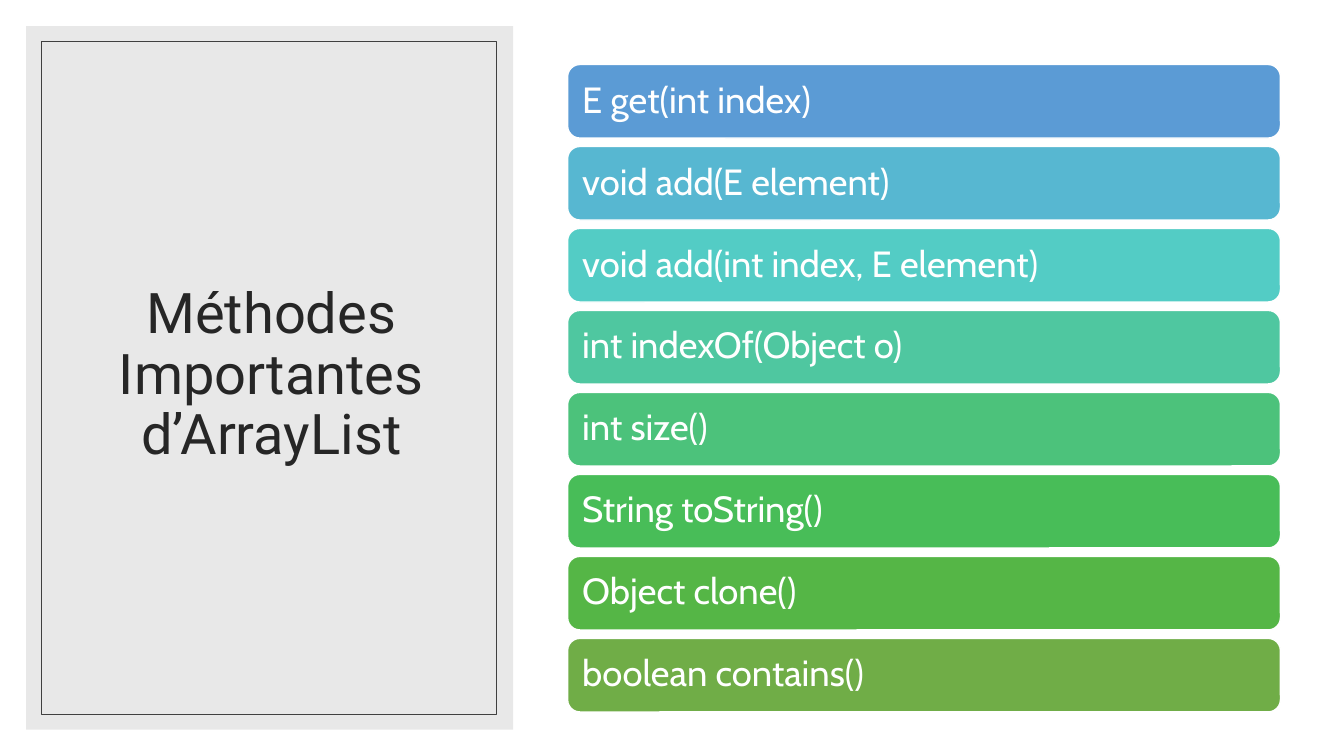
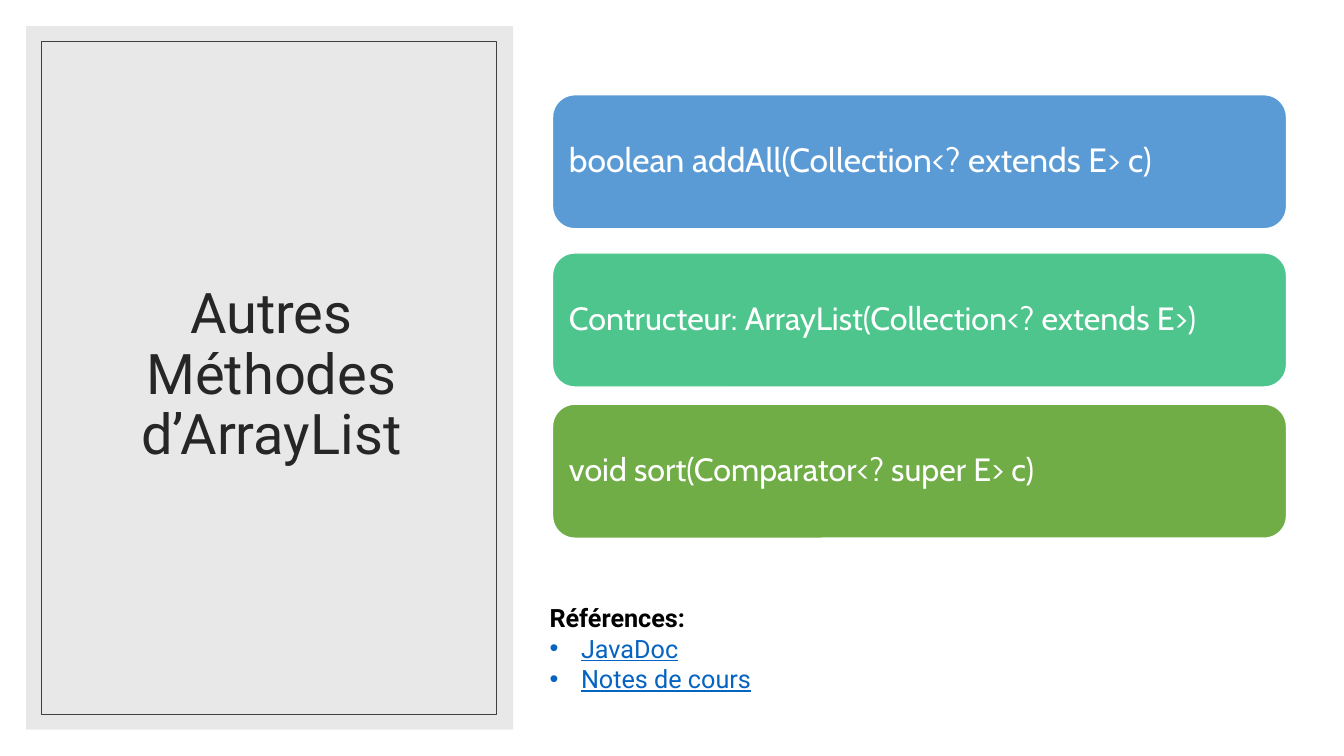
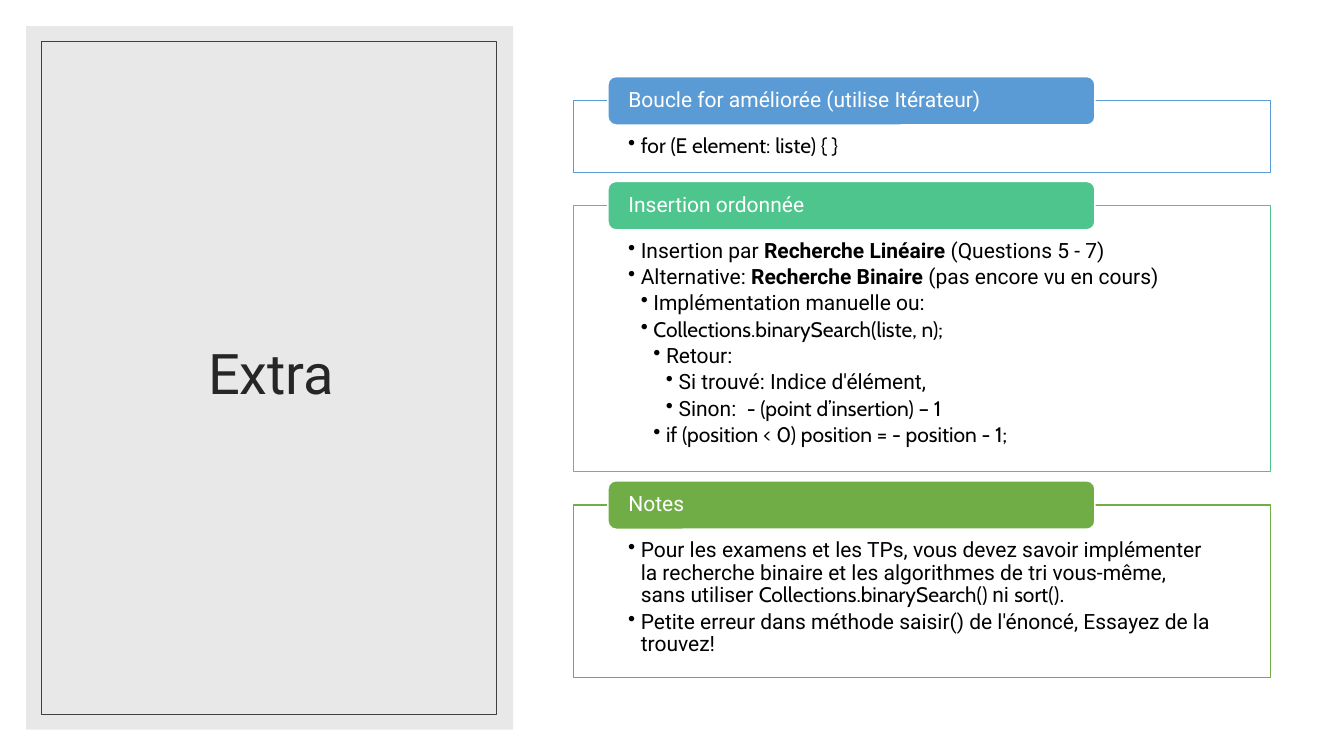
from pptx import Presentation
from pptx.dml.color import RGBColor
from pptx.enum.shapes import MSO_SHAPE
from pptx.enum.text import MSO_ANCHOR, MSO_AUTO_SIZE, PP_ALIGN
from pptx.util import Inches, Pt
from lxml.etree import SubElement
from pptx.oxml.ns import qn

WHITE = RGBColor(0xFF, 0xFF, 0xFF)
BLACK = RGBColor(0x00, 0x00, 0x00)
PANEL = RGBColor(0xE8, 0xE8, 0xE8)
FRAME = RGBColor(0x40, 0x40, 0x40)
TITLE = RGBColor(0x26, 0x26, 0x26)
LINK = RGBColor(0x05, 0x63, 0xC1)
BLUE = RGBColor(0x5B, 0x9B, 0xD5)
MINT = RGBColor(0x4D, 0xC5, 0x8D)
GREEN = RGBColor(0x70, 0xAD, 0x47)
RAMP = [BLUE, RGBColor(0x57, 0xB7, 0xD1), RGBColor(0x53, 0xCC, 0xC5),
        RGBColor(0x4F, 0xC7, 0xA0), RGBColor(0x4C, 0xC2, 0x7B),
        RGBColor(0x48, 0xBD, 0x58), RGBColor(0x55, 0xB6, 0x46), GREEN]
TEXT, CODE = "Roboto", "Cabin"

prs = Presentation()
prs.slide_width, prs.slide_height = Inches(13.33), Inches(7.5)
CELL = prs.slide_height / 90


def block(s, kind, at, fill=None, line=None, width=1, margins=(0, 0, 0, 0)):
    sp = s.shapes.add_shape(kind, *[round(v * CELL) for v in at])
    sp.shadow.inherit = False
    if fill is None:
        sp.fill.background()
    else:
        sp.fill.solid()
        sp.fill.fore_color.rgb = fill
    if line is None:
        sp.line.fill.background()
    else:
        sp.line.color.rgb = line
        sp.line.width = Pt(width)
    tf = sp.text_frame
    tf.word_wrap = True
    tf.vertical_anchor = MSO_ANCHOR.MIDDLE
    tf.margin_left, tf.margin_top, tf.margin_right, tf.margin_bottom = [
        round(m * CELL) for m in margins]
    return sp


def write(p, runs, size, color, spacing=0.9, level=0, hang=1.5, after=0):
    p.alignment = PP_ALIGN.LEFT
    p.line_spacing = spacing
    p.space_before, p.space_after = Pt(0), Pt(after)
    pPr = p._p.get_or_add_pPr()
    pPr.set("marL", str(round(level * hang * CELL)))
    pPr.set("indent", str(-round(hang * CELL) if level else 0))
    if level:
        SubElement(pPr, qn("a:buChar")).set("char", "•")
    else:
        SubElement(pPr, qn("a:buNone"))
    for text, font, bold in runs:
        r = p.add_run()
        r.text = text
        r.font.name, r.font.size, r.font.bold = font, Pt(size), bold
        r.font.color.rgb = color


slides = []
for title, layout in [("Méthodes Importantes d’ArrayList", 5),
                      ("Autres Méthodes d’ArrayList", 1),
                      ("Extra", 5)]:
    s = prs.slides.add_slide(prs.slide_layouts[layout])
    panel = block(s, MSO_SHAPE.RECTANGLE, (3.12, 3.12, 57.96, 83.76), PANEL)
    s.shapes._spTree.insert(2, panel._element)
    block(s, MSO_SHAPE.RECTANGLE, (4.92, 4.92, 54.12, 80.16), line=FRAME, width=0.5)
    sp = s.shapes.title
    sp.left, sp.top, sp.width, sp.height = [
        round(v * CELL) for v in (7.56, 7.32, 49.44, 74.88)]
    tf = sp.text_frame
    tf.word_wrap = True
    tf.auto_size = MSO_AUTO_SIZE.NONE
    tf.vertical_anchor = MSO_ANCHOR.MIDDLE
    p = tf.paragraphs[0]
    write(p, [(title, TEXT, False)], 40, TITLE)
    p.alignment = PP_ALIGN.CENTER
    slides.append(s)

methods = ["E get(int index)", "void add(E element)", "void add(int index, E element)",
           "int indexOf(Object o)", "int size()", "String toString()",
           "Object clone()", "boolean contains()"]
for i, (method, color) in enumerate(zip(methods, RAMP)):
    sp = block(slides[0], MSO_SHAPE.ROUNDED_RECTANGLE,
               (67.56, 7.68 + i * 9.76, 84.84, 8.76), color, WHITE, margins=[1.32] * 4)
    write(sp.text_frame.paragraphs[0], [(method, CODE, False)], 26, WHITE)

for top, method, size, color in [
        (11.28, "boolean addAll(Collection<? extends E> c)", 24, BLUE),
        (30.12, "Contructeur: ArrayList(Collection<? extends E>)", 23, MINT),
        (48.12, "void sort(Comparator<? super E> c)", 23, GREEN)]:
    sp = block(slides[1], MSO_SHAPE.ROUNDED_RECTANGLE,
               (65.76, top, 87.36, 15.96), color, WHITE, margins=[1.2] * 4)
    write(sp.text_frame.paragraphs[0], [(method, CODE, False)], size, WHITE)

sp = slides[1].placeholders[1]
sp.left, sp.top, sp.width, sp.height = [
    round(v * CELL) for v in (64.2, 71.16, 89.04, 15.72)]
tf = sp.text_frame
tf.word_wrap = True
tf.auto_size = MSO_AUTO_SIZE.NONE
write(tf.paragraphs[0], [("Références:", TEXT, True)], 18, BLACK, 1.0)
for reference in ["JavaDoc", "Notes de cours"]:
    p = tf.add_paragraph()
    write(p, [(reference, TEXT, False)], 18, LINK, 1.0, level=1, hang=3.75)
    p.runs[0].font.underline = True

sections = [
    ("Boucle for améliorée (utilise Itérateur)", BLUE, 8.52, [
        (1, [("for (E element: liste) { }", CODE, False)])]),
    ("Insertion ordonnée", MINT, 31.68, [
        (1, [("Insertion par ", TEXT, False), ("Recherche Linéaire ", TEXT, True),
             ("(Questions 5 - 7)", TEXT, False)]),
        (1, [("Alternative: ", TEXT, False), ("Recherche Binaire", TEXT, True),
             (" (pas encore vu en cours)", TEXT, False)]),
        (2, [("Implémentation manuelle ou:", TEXT, False)]),
        (2, [("Collections.binarySearch(liste, n);", CODE, False)]),
        (3, [("Retour:", TEXT, False)]),
        (4, [("Si trouvé: Indice d'élément,", TEXT, False)]),
        (4, [("Sinon:  ", TEXT, False), ("- (point d’insertion) – 1", CODE, False)]),
        (3, [("if (position < 0) position = - position - 1;", CODE, False)])]),
    ("Notes", GREEN, 20.52, [
        (1, [("Pour les examens et les TPs, vous devez savoir implémenter la recherche "
              "binaire et les algorithmes de tri vous-même, sans utiliser ", TEXT, False),
             ("Collections.binarySearch() ", CODE, False), ("ni ", TEXT, False),
             ("sort()", CODE, False), (".", TEXT, False)]),
        (1, [("Petite erreur dans méthode saisir() de l'énoncé, Essayez de la trouvez!",
              TEXT, False)])]),
]
top = 12
for heading, color, height, items in sections:
    box = block(slides[2], MSO_SHAPE.RECTANGLE, (68.28, top, 82.92, height),
                WHITE, color, margins=(6.48, 4.08, 6.48, 1.44))
    tf = box.text_frame
    tf.vertical_anchor = MSO_ANCHOR.TOP
    for i, (level, runs) in enumerate(items):
        p = tf.add_paragraph() if i else tf.paragraphs[0]
        write(p, runs, 15, BLACK, level=level, after=2.6)
    tab = block(slides[2], MSO_SHAPE.ROUNDED_RECTANGLE, (72.36, top - 2.88, 57.96, 5.76),
                color, WHITE, margins=(2.16, 0, 2.16, 0))
    write(tab.text_frame.paragraphs[0], [(heading, TEXT, False)], 15, WHITE)
    top += height + 3.96

prs.save("out.pptx")
